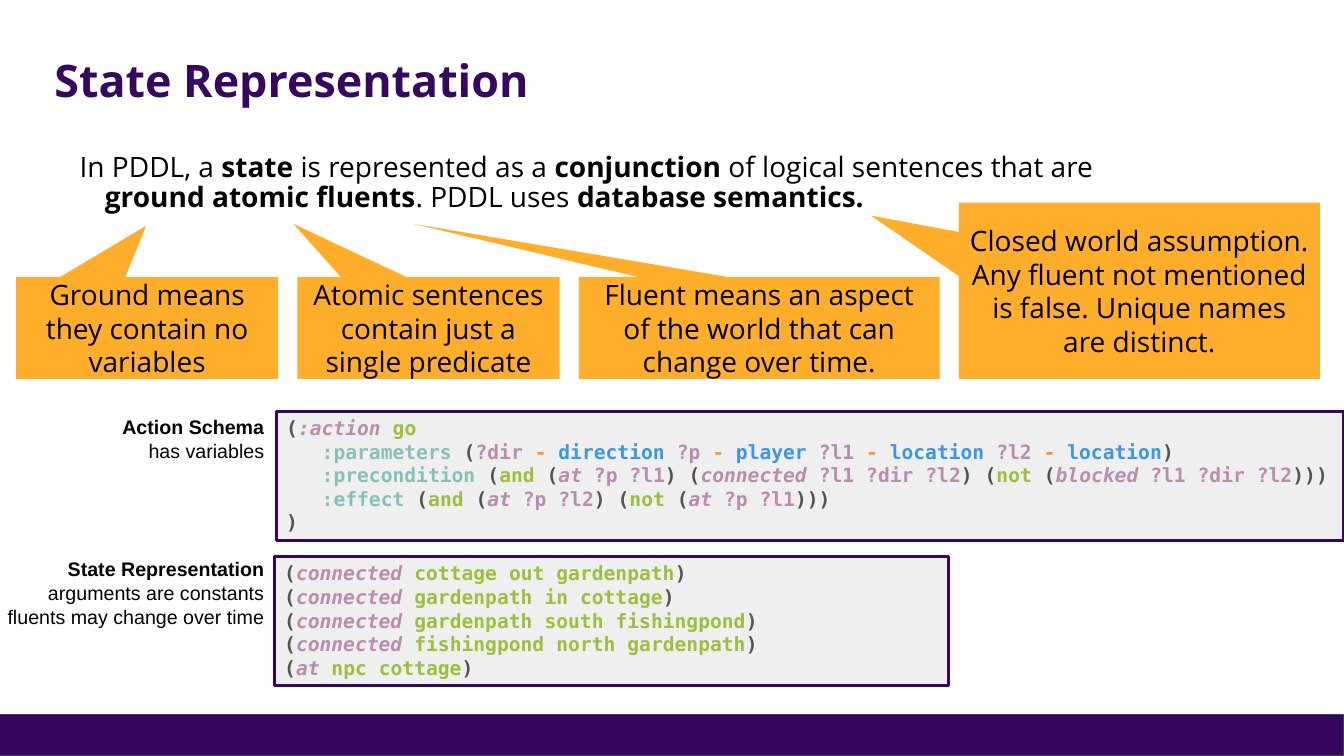
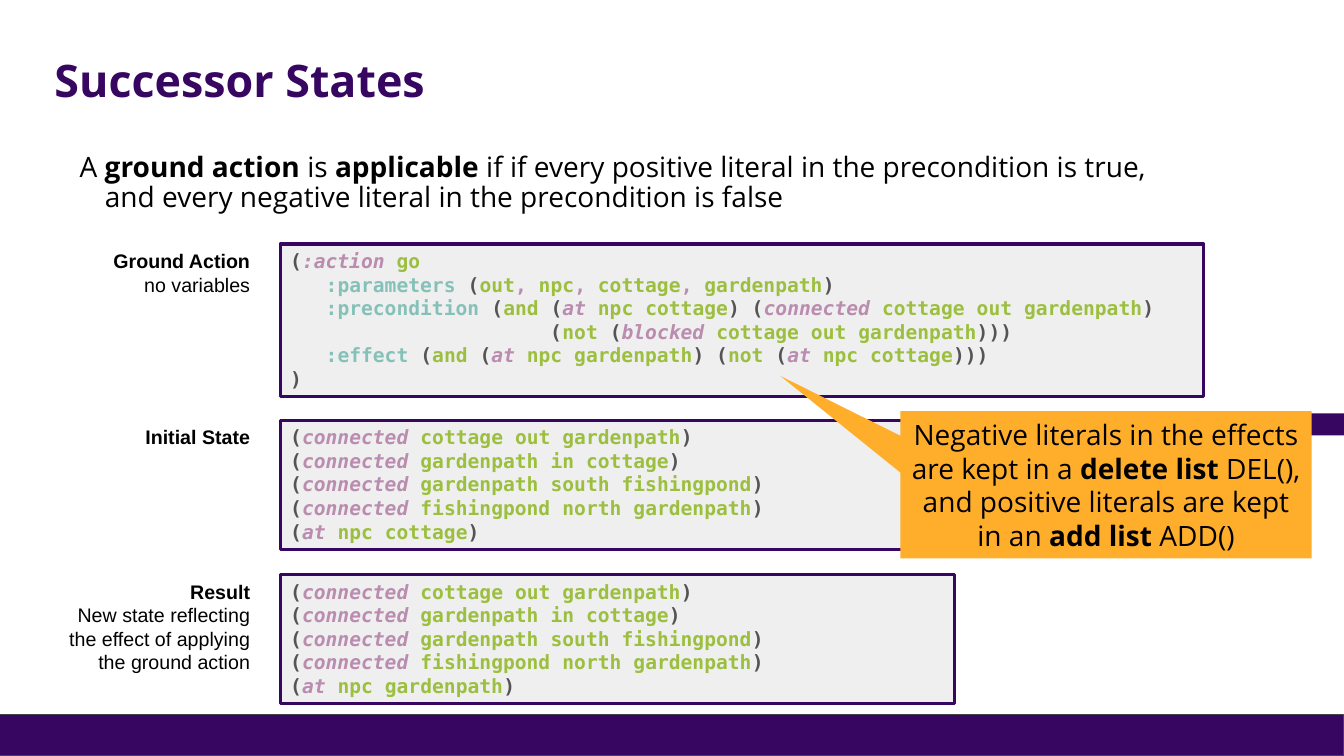
from itertools import groupby

from lxml.etree import SubElement
from pptx import Presentation
from pptx.dml.color import RGBColor
from pptx.enum.shapes import MSO_SHAPE
from pptx.enum.text import MSO_ANCHOR, MSO_AUTO_SIZE, PP_ALIGN
from pptx.oxml.ns import qn
from pptx.util import Inches, Pt

COLORS = {
    "purple": "370660",
    "band_line": "43454B",
    "callout": "FFAE2B",
    "code_fill": "EEEFEE",
    "text": "000000",
    "bracket": "545454",
    "predicate": "BA8CAF",
    "constant": "9DBF40",
    "section": "86C1B9",
    "dash": "F09642",
    "type": "3C97DD",
}
SANS, LABEL_FONT, MONO = "Open Sans", "Arial", "DejaVu Sans Mono"

SECTIONS = {":parameters", ":precondition", ":effect"}
PREDICATES = {":action", "at", "connected", "blocked"}
TYPES = {"direction", "player", "location"}

CALLOUT_GAP = 0.19
CALLOUT_BOTTOM = 3.76

ACTION_SCHEMA = """(:action go
   :parameters (?dir - direction ?p - player ?l1 - location ?l2 - location)
   :precondition (and (at ?p ?l1) (connected ?l1 ?dir ?l2) (not (blocked ?l1 ?dir ?l2)))
   :effect (and (at ?p ?l2) (not (at ?p ?l1)))
)"""

GROUND_ACTION = """(:action go
   :parameters (out, npc, cottage, gardenpath)
   :precondition (and (at npc cottage) (connected cottage out gardenpath)
                      (not (blocked cottage out gardenpath)))
   :effect (and (at npc gardenpath) (not (at npc cottage)))
)"""

CONNECTIONS = """(connected cottage out gardenpath)
(connected gardenpath in cottage)
(connected gardenpath south fishingpond)
(connected fishingpond north gardenpath)
"""
INITIAL_STATE = CONNECTIONS + "(at npc cottage)"
RESULT_STATE = CONNECTIONS + "(at npc gardenpath)"


def rgb(name):
    return RGBColor.from_string(COLORS[name])


def add_run(paragraph, text, font_name, size, color="text", bold=False, italic=False):
    run = paragraph.add_run()
    run.text = text
    run.font.name = font_name
    run.font.size = Pt(size)
    run.font.color.rgb = rgb(color)
    run.font.bold = bold
    run.font.italic = italic


def add_marked_text(paragraph, text, font_name, size, color="text"):
    """Write text as runs; the parts between double asterisks are bold."""
    for index, part in enumerate(text.split("**")):
        if part:
            add_run(paragraph, part, font_name, size, color, bold=index % 2 == 1)


def get_paragraphs(text_frame, count):
    return [text_frame.paragraphs[0]] + [text_frame.add_paragraph() for _ in range(count - 1)]


def add_filled_shape(slide, kind, box, fill, line=None, line_width=0):
    shape = slide.shapes.add_shape(kind, *map(Inches, box))
    shape.shadow.inherit = False
    shape.fill.solid()
    shape.fill.fore_color.rgb = rgb(fill)
    if line:
        shape.line.color.rgb = rgb(line)
        shape.line.width = Pt(line_width)
    else:
        shape.line.fill.background()
    shape.text_frame.word_wrap = True
    return shape


def place(shape, left, top, width, height):
    shape.left, shape.top = Inches(left), Inches(top)
    shape.width, shape.height = Inches(width), Inches(height)


def prepare_layout(layout, slide):
    """Place the layout's placeholders and move the shared bands behind them."""
    place(layout.placeholders[0], 0.44, 0.4, 11.98, 0.84)
    place(layout.placeholders[1], 0.44, 1.47, 11.5, 5.24)
    bands = [
        add_filled_shape(slide, MSO_SHAPE.RECTANGLE, (0, 7.09, 13.33, 0.41),
                         "purple", "band_line", 0.75),
        add_filled_shape(slide, MSO_SHAPE.RECTANGLE, (12.69, 4.1, 0.65, 0.22), "purple"),
    ]
    for band in bands:
        layout.shapes.element.insert(2, band.element)


def fill_title(slide, text):
    frame = slide.shapes.title.text_frame
    frame.auto_size = MSO_AUTO_SIZE.NONE
    frame.vertical_anchor = MSO_ANCHOR.MIDDLE
    paragraph = frame.paragraphs[0]
    paragraph.alignment = PP_ALIGN.LEFT
    paragraph.line_spacing = 0.9
    add_marked_text(paragraph, f"**{text}**", SANS, 32, "purple")


def fill_body(slide, text):
    frame = slide.placeholders[1].text_frame
    frame.auto_size = MSO_AUTO_SIZE.NONE
    paragraph = frame.paragraphs[0]
    paragraph.line_spacing = 0.9
    paragraph.space_before = Pt(0)
    properties = paragraph._p.get_or_add_pPr()
    properties.set("marL", str(Inches(0.5)))
    properties.set("indent", str(Inches(-0.25)))
    SubElement(properties, qn("a:buNone"))
    add_marked_text(paragraph, text, SANS, 20)


def add_callout(slide, box, tip, text):
    """Add a callout whose pointer ends at tip, a point in inches on the slide."""
    left, top, width, height = box
    shape = add_filled_shape(slide, MSO_SHAPE.ROUNDED_RECTANGULAR_CALLOUT, box, "callout")
    shape.adjustments[0] = (tip[0] - left) / width - 0.5
    shape.adjustments[1] = (tip[1] - top) / height - 0.5
    shape.adjustments[2] = 0
    frame = shape.text_frame
    frame.vertical_anchor = MSO_ANCHOR.MIDDLE
    frame.margin_top = frame.margin_bottom = Inches(0.1)
    paragraph = frame.paragraphs[0]
    paragraph.alignment = PP_ALIGN.CENTER
    add_marked_text(paragraph, text, SANS, 20)


def add_label(slide, right, top, heading, *details):
    """Add a right-aligned label with a bold heading that ends at right."""
    lines = [f"**{heading}**", *details]
    height = 0.1 + 0.235 * len(lines)
    box = slide.shapes.add_textbox(0, Inches(top), Inches(right), Inches(height))
    frame = box.text_frame
    frame.word_wrap = True
    frame.margin_left = 0
    for paragraph, line in zip(get_paragraphs(frame, len(lines)), lines):
        paragraph.alignment = PP_ALIGN.RIGHT
        add_marked_text(paragraph, line, LABEL_FONT, 14)


def token_color(token):
    if token in SECTIONS:
        return "section"
    if token in PREDICATES or token.startswith("?") or token == ",":
        return "predicate"
    if token in TYPES:
        return "type"
    if token == "-":
        return "dash"
    if token.strip(" ()"):
        return "constant"
    return "bracket"


def add_code_box(slide, box, code):
    shape = add_filled_shape(slide, MSO_SHAPE.RECTANGLE, box, "code_fill", "purple", 2.25)
    frame = shape.text_frame
    frame.vertical_anchor = MSO_ANCHOR.TOP
    lines = code.splitlines()
    for paragraph, line in zip(get_paragraphs(frame, len(lines)), lines):
        paragraph.alignment = PP_ALIGN.LEFT
        for _, characters in groupby(line, key=" (),".find):
            token = "".join(characters)
            add_run(paragraph, token, MONO, 14, token_color(token),
                    bold=True, italic=token in PREDICATES)


def build_state_representation(slide):
    fill_title(slide, "State Representation")
    fill_body(slide, "In PDDL, a **state** is represented as a **conjunction** of logical "
                     "sentences that are **ground atomic fluents**. PDDL uses "
                     "**database semantics.**")
    callouts = [
        (2.6, 1.01, (1.45, 2.24), "Ground means they contain no variables"),
        (2.6, 1.01, (2.91, 2.22), "Atomic sentences contain just a single predicate"),
        (3.58, 1.01, (4.1, 2.22),
         "Fluent means an aspect of the world that can change over time."),
        (3.58, 1.75, (8.64, 2.14),
         "Closed world assumption. Any fluent not mentioned is false. "
         "Unique names are distinct."),
    ]
    left = 0.16
    for width, height, tip, text in callouts:
        add_callout(slide, (left, CALLOUT_BOTTOM - height, width, height), tip, text)
        left += width + CALLOUT_GAP
    add_label(slide, 2.72, 4.07, "Action Schema", "has variables")
    add_label(slide, 2.72, 5.48, "State Representation",
              "arguments are constants", "fluents may change over time")
    add_code_box(slide, (2.74, 4.08, 10.59, 1.28), ACTION_SCHEMA)
    add_code_box(slide, (2.72, 5.52, 6.69, 1.28), INITIAL_STATE)


def build_successor_states(slide):
    fill_title(slide, "Successor States")
    fill_body(slide, "A **ground action** is **applicable** if if every positive literal in the "
                     "precondition is true, and every negative literal in the precondition "
                     "is false")
    rows = [
        (2.42, 9.16, 1.51, GROUND_ACTION, ["Ground Action", "no variables"]),
        (4.17, 6.69, 1.28, INITIAL_STATE, ["Initial State"]),
        (5.7, 6.69, 1.28, RESULT_STATE,
         ["Result", "New state reflecting", "the effect of applying", "the ground action"]),
    ]
    for top, width, height, code, label in rows:
        add_label(slide, 2.58, top, *label)
        add_code_box(slide, (2.78, top, width, height), code)
    add_callout(slide, (8.93, 4.08, 4.08, 1.46), (7.74, 3.73),
                "Negative literals in the effects are kept in a **delete list **DEL(), "
                "and positive literals are kept in an **add list** ADD()")


def main():
    presentation = Presentation()
    presentation.slide_width = Inches(13.33)
    presentation.slide_height = Inches(7.5)
    layout = presentation.slide_layouts[1]
    slides = [presentation.slides.add_slide(layout) for _ in range(2)]
    prepare_layout(layout, slides[0])
    build_state_representation(slides[0])
    build_successor_states(slides[1])
    presentation.save("out.pptx")


if __name__ == "__main__":
    main()
